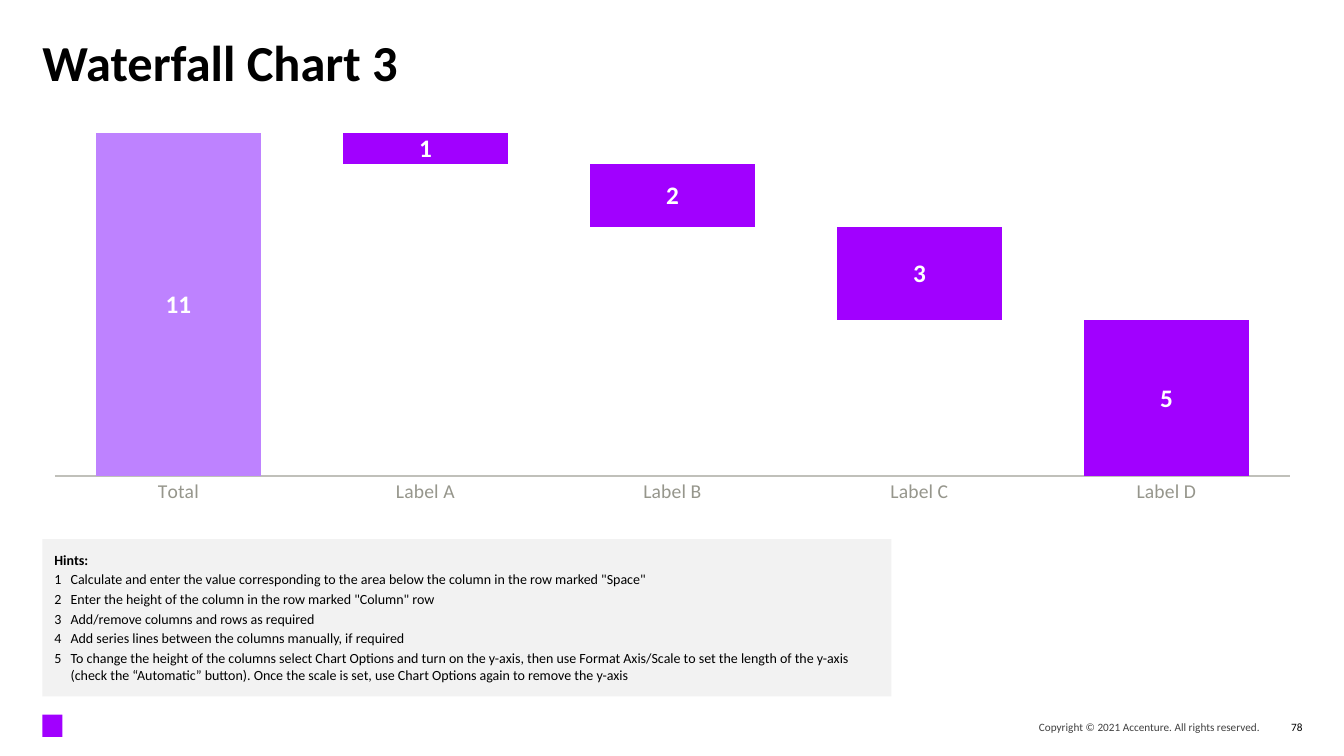
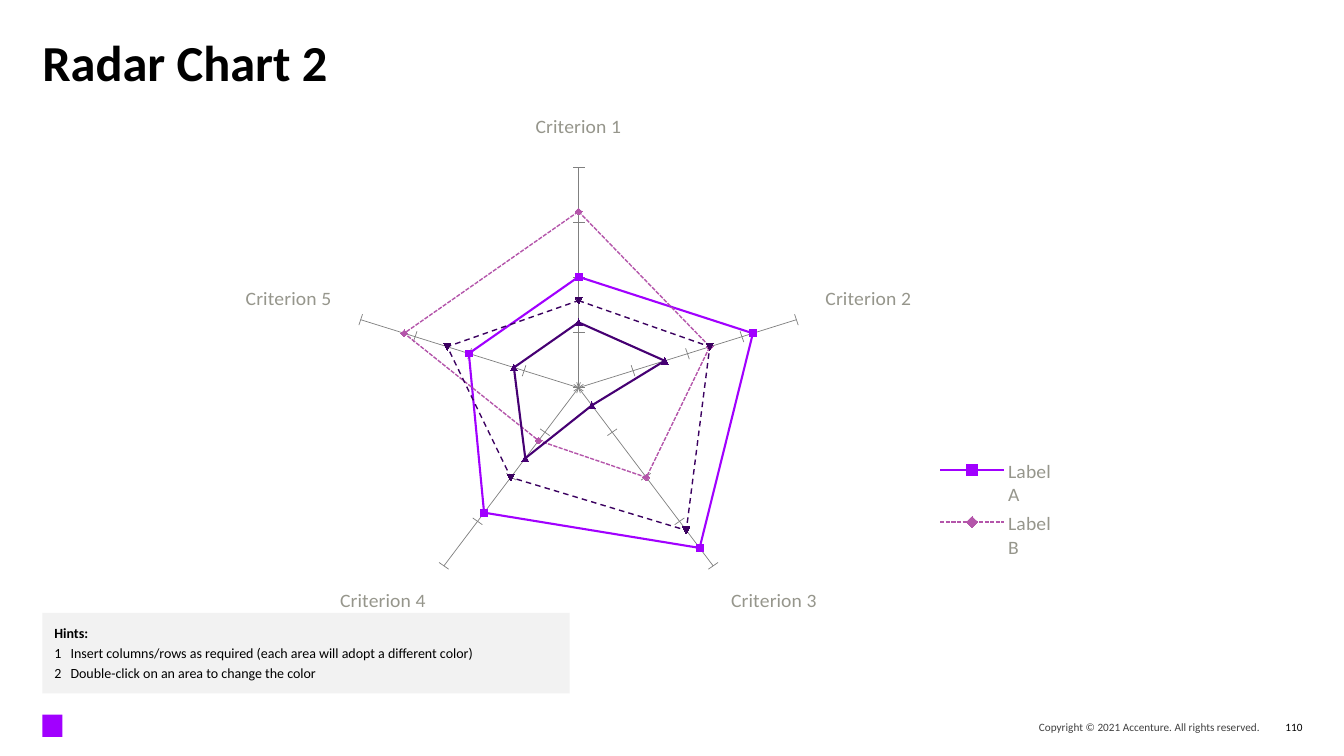
import pptx
import pptx.util
import pptx.chart.data
import pptx.dml.color
import pptx.enum.chart
import pptx.enum.dml
import pptx.enum.shapes
import pptx.enum.text
import pptx.oxml
import pptx.oxml.ns

Inches = pptx.util.Inches
Pt = pptx.util.Pt
qn = pptx.oxml.ns.qn
Kind = pptx.enum.chart.XL_CHART_TYPE
Tick = pptx.enum.chart.XL_TICK_MARK
Dash = pptx.enum.dml.MSO_LINE
Align = pptx.enum.text.PP_ALIGN
Anchor = pptx.enum.text.MSO_ANCHOR

FONT = "Calibri"
HUES = {
    "black": "000000", "white": "FFFFFF", "panel": "F2F2F2", "foot": "404040",
    "label": "96968C", "axis": "C0C0BA", "spoke": "808080",
    "purple": "A100FF", "light": "BE82FF", "pink": "B455AA",
    "dark": "3B0060", "deep": "460073",
}
LEFT, WIDE = 0.42, 12.5
TITLE = (LEFT, 0.42, WIDE, 0.88)


def hue(name):
    return pptx.dml.color.RGBColor.from_string(HUES[name])


def fit(box):
    return [Inches(n) for n in box]


def style(font, size, color, bold=False):
    font.name, font.size, font.bold = FONT, Pt(size), bold
    font.color.rgb = hue(color)


def write(frame, lines, size=10, color="black", bold=False, head=False,
          align=Align.LEFT, anchor=Anchor.TOP, inset=(0, 0, 0, 0),
          gap=0, hang=0, lead=None, wrap=True):
    """Fill a text frame; head makes the first line bold."""
    frame.word_wrap = wrap
    frame.auto_size = pptx.enum.text.MSO_AUTO_SIZE.NONE
    frame.vertical_anchor = anchor
    (frame.margin_left, frame.margin_top,
     frame.margin_right, frame.margin_bottom) = fit(inset)
    for i, line in enumerate(lines):
        para = frame.paragraphs[0] if i == 0 else frame.add_paragraph()
        para.text = line
        para.alignment = align
        para.space_before = Pt(gap if i else 0)
        para.space_after = Pt(gap)
        if lead:
            para.line_spacing = lead
        if hang:
            props = para._p.get_or_add_pPr()
            props.set("marL", str(Inches(hang)))
            props.set("indent", str(-Inches(hang)))
        style(para.font, size, color, bold or (head and i == 0))


def block(slide, box, color):
    shape = slide.shapes.add_shape(
        pptx.enum.shapes.MSO_SHAPE.RECTANGLE, *fit(box))
    shape.shadow.inherit = False
    shape.fill.solid()
    shape.fill.fore_color.rgb = hue(color)
    shape.line.fill.background()
    return shape


def label(slide, box, text, **form):
    write(slide.shapes.add_textbox(*fit(box)).text_frame, [text], **form)


def base(deck, title, page):
    """Start a slide with its title, brand mark and footer."""
    slide = deck.slides.add_slide(deck.slide_layouts[5])
    head = slide.shapes.title
    head.left, head.top, head.width, head.height = fit(TITLE)
    write(head.text_frame, [title], size=36, bold=True, lead=0.8)
    block(slide, (LEFT, 7.09, 0.2, 0.22), "purple")
    foot = dict(size=8, align=Align.RIGHT, anchor=Anchor.MIDDLE)
    label(slide, (8, 7.1, 4.5, 0.22),
          "Copyright © 2021 Accenture. All rights reserved.",
          color="foot", **foot)
    label(slide, (12.56, 7.1, 0.36, 0.22), page, wrap=False, **foot)
    return slide


def hints(slide, box, tips):
    lines = ["Hints:"] + [f"{n}\t{tip}" for n, tip in enumerate(tips, 1)]
    write(block(slide, box, "panel").text_frame, lines, head=True, gap=1,
          hang=0.16, inset=(0.12, 0.12, 0.08, 0.12))


def layout(parent, spot, box, inner=False):
    """Give a chart part a fixed place, in fractions of the chart."""
    for old in parent.findall(qn("c:layout")):
        parent.remove(old)
    target = '<c:layoutTarget val="inner"/>' if inner else ""
    modes = "".join(f'<c:{k}Mode val="edge"/>' for k in "xy")
    sizes = "".join(f'<c:{k} val="{v}"/>' for k, v in zip("xywh", box))
    parent.insert(spot, pptx.oxml.parse_xml(
        f'<c:layout {pptx.oxml.ns.nsdecls("c")}><c:manualLayout>'
        f'{target}{modes}{sizes}</c:manualLayout></c:layout>'))


def graph(slide, box, kind, cats, rows, plot):
    data = pptx.chart.data.CategoryChartData()
    data.categories = cats
    for name, vals in rows:
        data.add_series(name, vals)
    chart = slide.shapes.add_chart(kind, *fit(box), data).chart
    chart.has_title = chart.has_legend = False
    style(chart.font, 14, "label")
    chart.plots[0].vary_by_categories = False
    layout(chart._chartSpace.chart.plotArea, 0, plot, inner=True)
    chart.value_axis.has_major_gridlines = False
    chart.value_axis.minimum_scale = 0
    return chart


def falls(slide, box):
    """Waterfall: clear columns lift the visible ones."""
    cats = ["Total"] + [f"Label {c}" for c in "ABCD"]
    rows = [("Series 1", (None, 10, 8, 5, None)),
            ("Series 2", (11, 1, 2, 3, 5))]
    chart = graph(slide, box, Kind.COLUMN_STACKED, cats, rows,
                  (0.01, 0.03, 0.98, 0.83))
    plot = chart.plots[0]
    plot.gap_width, plot.overlap = 50, 100
    chart.value_axis.maximum_scale = 12
    chart.value_axis.visible = False
    axis = chart.category_axis
    axis.major_tick_mark = Tick.NONE
    axis.format.line.color.rgb = hue("axis")
    axis.format.line.width = Pt(1)
    style(axis.tick_labels.font, 14, "label")

    space, column = plot.series
    space.format.fill.background()
    for part, color in ((column, "purple"), (column.points[0], "light")):
        part.format.fill.solid()
        part.format.fill.fore_color.rgb = hue(color)
    tags = column.data_labels
    tags.show_value = True
    style(tags.font, 18, "white", True)


def radar(slide, box):
    cats = [f"Criterion {n}" for n in range(1, 6)]
    rows = [("Label A", (56, 89, 100, 78, 56)),
            ("Label B", (89, 67, 56, 33, 89)),
            ("Label C", (44, 67, 89, 56, 67)),
            ("Label D", (33, 44, 11, 44, 33))]
    looks = [("purple", 1.5, None), ("pink", 1, Dash.SQUARE_DOT),
             ("dark", 1, Dash.DASH), ("deep", 1.5, None)]
    chart = graph(slide, box, Kind.RADAR_MARKERS, cats, rows,
                  (0.13, 0.07, 0.59, 0.92))

    # Spokes and scale
    axis = chart.value_axis
    axis.maximum_scale, axis.major_unit = 111.2, 27.8
    axis.major_tick_mark = Tick.CROSS
    axis.tick_label_position = pptx.enum.chart.XL_TICK_LABEL_POSITION.NONE
    grid = chart.category_axis.major_gridlines
    for line in (axis.format.line, grid.format.line):
        line.color.rgb = hue("spoke")
        line.width = Pt(0.5)

    # Series
    for row, (color, width, dash) in zip(chart.plots[0].series, looks):
        row.smooth = False
        line = row.format.line
        line.color.rgb = hue(color)
        line.width = Pt(width)
        if dash:
            line.dash_style = dash
        mark = row.marker
        mark.size = 5
        mark.format.fill.solid()
        mark.format.fill.fore_color.rgb = hue(color)
        mark.format.line.fill.background()

    # Legend lists the first two series only
    chart.has_legend = True
    legend = chart.legend
    legend.position = pptx.enum.chart.XL_LEGEND_POSITION.RIGHT
    legend.include_in_layout = False
    style(legend.font, 14, "label")
    layout(legend._element, 1, (0.71, 0.67, 0.1, 0.23))
    for spot, index in enumerate((2, 3), 1):
        legend._element.insert(spot, pptx.oxml.parse_xml(
            f'<c:legendEntry {pptx.oxml.ns.nsdecls("c")}>'
            f'<c:idx val="{index}"/><c:delete val="1"/></c:legendEntry>'))


def main():
    deck = pptx.Presentation()
    deck.slide_width, deck.slide_height = Inches(13.33), Inches(7.5)

    slide = base(deck, "Waterfall Chart 3", "78")
    falls(slide, (LEFT, 0.88, WIDE, 4.47))
    hints(slide, (LEFT, 5.35, 8.42, 1.56), [
        'Calculate and enter the value corresponding to the area below '
        'the column in the row marked "Space"',
        'Enter the height of the column in the row marked "Column" row',
        "Add/remove columns and rows as required",
        "Add series lines between the columns manually, if required",
        "To change the height of the columns select Chart Options and turn "
        "on the y-axis, then use Format Axis/Scale to set the length of the "
        "y-axis (check the “Automatic” button). Once the scale is set, use "
        "Chart Options again to remove the y-axis"])

    slide = base(deck, "Radar Chart 2", "110")
    hints(slide, (LEFT, 6.08, 5.23, 0.8), [
        "Insert columns/rows as required (each area will adopt a different "
        "color)",
        "Double-click on an area to change the color"])
    radar(slide, (0.49, 1.14, 12.35, 4.94))

    deck.save("out.pptx")


if __name__ == "__main__":
    main()
